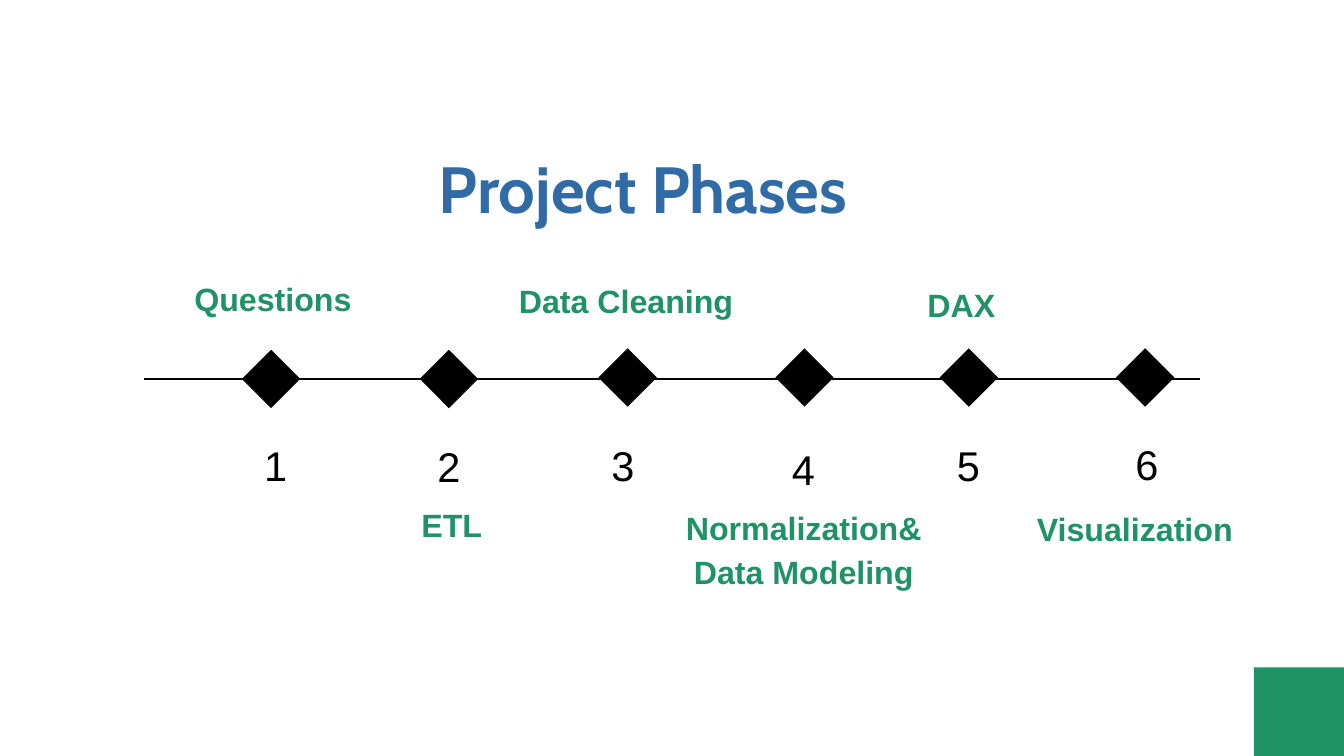
from dataclasses import dataclass

from lxml.etree import SubElement
from pptx import Presentation
from pptx.dml.color import RGBColor
from pptx.enum.shapes import MSO_CONNECTOR, MSO_SHAPE
from pptx.enum.text import MSO_ANCHOR, MSO_AUTO_SIZE, PP_ALIGN
from pptx.oxml.ns import qn
from pptx.slide import Slide
from pptx.text.text import TextFrame
from pptx.util import Pt

BLACK = RGBColor(0x00, 0x00, 0x00)
BLUE = RGBColor(0x30, 0x6B, 0xA6)
GREEN = RGBColor(0x1F, 0x92, 0x66)
LEFT, CENTER = PP_ALIGN.LEFT, PP_ALIGN.CENTER

SLIDE_W, SLIDE_H = 1440, 810
LINE_Y = 406
HALF = 31.3
DIAMOND_CENTRES = [(290.5, 406), (481, 406), (672.5, 404.5),
                   (862, 404.5), (1038, 404.5), (1227, 404.5)]


@dataclass(frozen=True)
class Line:
    text: str
    size: float = 34.5
    color: RGBColor = GREEN
    bold: bool = True
    font: str = "Arial"
    align: PP_ALIGN = LEFT
    indent: float = 0.7
    before: float = 0
    spacing: float = 1.0
    tracking: float = 0


@dataclass(frozen=True)
class Caption:
    left: float
    top: float
    width: float
    height: float
    lines: tuple[Line, ...]
    inset_top: float = 0.7
    inset_right: float = 0


def number(digit: str, align: PP_ALIGN = LEFT, indent: float = 0.7) -> Line:
    return Line(digit, 44.5, BLACK, False, align=align, indent=indent, tracking=4.2)


CAPTIONS = [
    Caption(207.5, 298.2, 199.5, 43.2, (Line("Questions"),)),
    Caption(555.2, 301.2, 233.3, 43.2, (Line("Data Cleaning"),)),
    Caption(993, 305.3, 95, 43.2, (Line("DAX"),)),
    Caption(282.3, 471.2, 31.7, 55.4, (number("1"),)),
    Caption(450.7, 455.8, 85, 128.9,
            (number("2", indent=18), Line("ETL", before=15.5)), 16.6),
    Caption(654.5, 471.2, 31.7, 55.4, (number("3"),)),
    Caption(720, 454.3, 281.5, 177.1,
            (number("4", CENTER, 0),
             Line("Normalization& Data Modeling", align=CENTER,
                  before=9.1, spacing=1.16)), 20.9),
    Caption(1024.6, 471.2, 31.7, 55.4, (number("5"),)),
    Caption(1110.2, 441.4, 253.4, 146.9,
            (number("6", CENTER, 0), Line("Visualization", before=21.7)), 28.8, 16),
]


def write_text(frame: TextFrame, lines: tuple[Line, ...], *,
               inset_top: float = 0, inset_right: float = 0) -> None:
    frame.margin_left = frame.margin_bottom = 0
    frame.margin_top, frame.margin_right = Pt(inset_top), Pt(inset_right)
    frame.word_wrap = True
    frame.auto_size = MSO_AUTO_SIZE.NONE
    frame.vertical_anchor = MSO_ANCHOR.TOP
    for index, line in enumerate(lines):
        paragraph = frame.add_paragraph() if index else frame.paragraphs[0]
        paragraph.alignment = line.align
        paragraph.line_spacing = line.spacing
        paragraph.space_before = Pt(line.before)
        paragraph._p.get_or_add_pPr().set("marL", str(Pt(line.indent)))
        run = paragraph.add_run()
        run.text = line.text
        run.font.name = line.font
        run.font.size = Pt(line.size)
        run.font.bold = line.bold
        run.font.color.rgb = line.color
        if line.tracking:
            run.font._element.set("spc", str(round(line.tracking * 100)))


def add_caption(slide: Slide, caption: Caption) -> None:
    box = slide.shapes.add_textbox(Pt(caption.left), Pt(caption.top),
                                   Pt(caption.width), Pt(caption.height))
    write_text(box.text_frame, caption.lines,
               inset_top=caption.inset_top, inset_right=caption.inset_right)


def fill_solid(shape, color: RGBColor) -> None:
    shape.shadow.inherit = False
    shape.fill.solid()
    shape.fill.fore_color.rgb = color
    shape.line.fill.background()


def add_timeline(slide: Slide) -> None:
    timeline = slide.shapes.add_connector(
        MSO_CONNECTOR.STRAIGHT, Pt(154), Pt(LINE_Y), Pt(1286), Pt(LINE_Y))
    timeline.line.color.rgb = BLACK
    timeline.line.width = Pt(3)
    SubElement(timeline._element.spPr, qn("a:effectLst"))


def add_diamonds(slide: Slide) -> None:
    """Draw all milestones as one outline with a contour for each."""
    builder = None
    for x, y in DIAMOND_CENTRES:
        start = Pt(x + HALF), Pt(y)
        if builder is None:
            builder = slide.shapes.build_freeform(*start)
        else:
            builder.move_to(*start)
        builder.add_line_segments([(Pt(x), Pt(y - HALF)), (Pt(x - HALF), Pt(y)),
                                   (Pt(x), Pt(y + HALF))], close=True)
    fill_solid(builder.convert_to_shape(), BLACK)


def add_corner(slide: Slide, width: float, height: float) -> None:
    corner = slide.shapes.add_shape(MSO_SHAPE.RECTANGLE, Pt(SLIDE_W - width),
                                    Pt(SLIDE_H - height), Pt(width), Pt(height))
    fill_solid(corner, GREEN)


def main() -> None:
    deck = Presentation()
    deck.slide_width, deck.slide_height = Pt(SLIDE_W), Pt(SLIDE_H)
    slide = deck.slides.add_slide(deck.slide_layouts.get_by_name("Title Only"))

    title = slide.shapes.title
    title.left, title.top, title.width, title.height = Pt(469), Pt(158.4), Pt(485), Pt(86.4)
    write_text(title.text_frame,
               (Line("Project Phases", 70, BLUE, font="Cabin", indent=1),),
               inset_top=0.7)

    for caption in CAPTIONS:
        add_caption(slide, caption)
    add_timeline(slide)
    add_diamonds(slide)
    add_corner(slide, 96.5, 95)
    deck.save("out.pptx")


if __name__ == "__main__":
    main()
